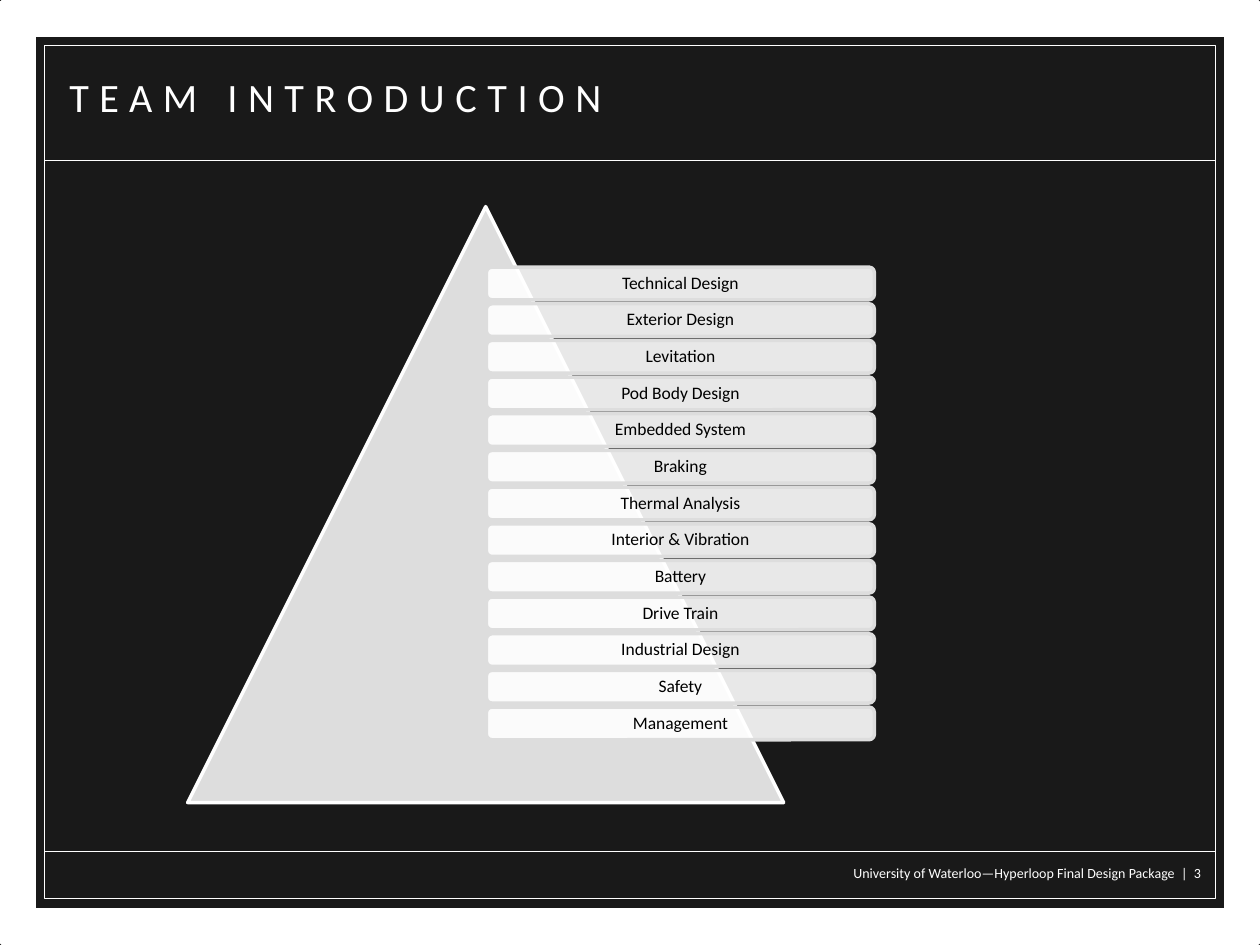
import dataclasses

import pptx
import pptx.dml.color
import pptx.enum.shapes
import pptx.enum.text
import pptx.oxml
import pptx.oxml.ns
import pptx.util
from lxml import etree

SHAPE = pptx.enum.shapes.MSO_SHAPE
ALIGN = pptx.enum.text.PP_ALIGN
ANCHOR = pptx.enum.text.MSO_ANCHOR
qn = pptx.oxml.ns.qn

COLUMNS, ROWS = 100, 75
TEAMS = [
    "Technical Design", "Exterior Design", "Levitation", "Pod Body Design",
    "Embedded System", "Braking", "Thermal Analysis", "Interior & Vibration",
    "Battery", "Drive Train", "Industrial Design", "Safety", "Management",
]


@dataclasses.dataclass(frozen=True)
class Theme:
    """Colours, font and type sizes of the deck."""
    back: str = "191919"
    white: str = "FFFFFF"
    grey: str = "DDDDDD"
    black: str = "000000"
    font: str = "Calibri"
    title: float = 23
    label: float = 10
    footer: float = 8


class Page:
    """Draws styled elements on one slide by grid columns and rows."""

    def __init__(self, deck, theme):
        """Add a title-only slide with a plain background."""
        self.theme = theme
        self.column = deck.slide_width / COLUMNS
        self.row = deck.slide_height / ROWS
        self.slide = deck.slides.add_slide(deck.slide_layouts[5])
        self.paint(self.slide.background.fill, theme.back)

    def place(self, left, top, width, height):
        """Turn grid lengths into slide lengths."""
        return (round(left * self.column), round(top * self.row),
                round(width * self.column), round(height * self.row))

    def paint(self, fill, color):
        """Fill with one solid colour."""
        fill.solid()
        fill.fore_color.rgb = pptx.dml.color.RGBColor.from_string(color)

    def stroke(self, line, color, width):
        """Set the colour and width of a line."""
        self.paint(line.fill, color)
        line.width = pptx.util.Pt(width)

    def letter(self, box, words, size, color, align, anchor, spacing=None):
        """Put one formatted paragraph into a box."""
        frame = box.text_frame
        sides = ("margin_left", "margin_top", "margin_right", "margin_bottom")
        formats = dict.fromkeys(sides, pptx.util.Inches(0.04))
        formats |= {"word_wrap": True, "vertical_anchor": anchor,
                    "auto_size": pptx.enum.text.MSO_AUTO_SIZE.NONE}
        for name, value in formats.items():
            setattr(frame, name, value)
        para = frame.paragraphs[0]
        for name, value in {"alignment": align, "line_spacing": spacing}.items():
            setattr(para, name, value)
        span = para.add_run()
        span.text = words
        for name, value in {"name": self.theme.font, "size": pptx.util.Pt(size)}.items():
            setattr(span.font, name, value)
        self.paint(span.font.fill, color)
        return span

    def title(self, words, *area):
        """Set the widely spaced, shadowed title."""
        box = self.slide.shapes.title
        for name, value in zip(("left", "top", "width", "height"), self.place(*area)):
            setattr(box, name, value)
        span = self.letter(box, words, self.theme.title, self.theme.white, ALIGN.LEFT, ANCHOR.TOP)
        properties = span.font._element
        properties.set("spc", "600")
        effects = pptx.oxml.parse_xml(
            f'<a:effectLst {pptx.oxml.ns.nsdecls("a")}>'
            '<a:outerShdw blurRad="38100" dist="38100" dir="2700000">'
            '<a:srgbClr val="000000"><a:alpha val="43000"/></a:srgbClr>'
            '</a:outerShdw></a:effectLst>')
        properties.find(qn("a:solidFill")).addnext(effects)

    def footer(self, words, *area):
        """Set the right-aligned footer."""
        box = self.slide.shapes.add_textbox(*self.place(*area))
        self.letter(box, words, self.theme.footer, self.theme.white, ALIGN.RIGHT, ANCHOR.TOP)

    def shape(self, holder, preset, area, fill, line, width):
        """Draw a preset shape, hollow when fill is None."""
        shape = holder.add_shape(preset, *self.place(*area))
        shape.shadow.inherit = False
        if fill:
            self.paint(shape.fill, fill)
        else:
            shape.fill.background()
        self.stroke(shape.line, line, width)
        return shape

    def frame(self, width, *area):
        """Draw a hollow white frame."""
        self.shape(self.slide.shapes, SHAPE.RECTANGLE, area, None, self.theme.white, width)

    def rule(self, left, right, top):
        """Draw a thin horizontal line."""
        start, level, end, _ = self.place(left, top, right, 0)
        rule = self.slide.shapes.add_connector(
            pptx.enum.shapes.MSO_CONNECTOR.STRAIGHT, start, level, end, level)
        self.stroke(rule.line, self.theme.white, 0.5)
        etree.SubElement(rule._element.spPr, qn("a:effectLst"))

    def card(self, holder, words, *area):
        """Draw a translucent rounded card with a centred label."""
        card = self.shape(holder, SHAPE.ROUNDED_RECTANGLE, area,
                          self.theme.white, self.theme.grey, 2)
        color = card._element.spPr.find(qn("a:solidFill"))[0]
        etree.SubElement(color, qn("a:alpha")).set("val", "90000")
        self.letter(card, words, self.theme.label, self.theme.black,
                    ALIGN.CENTER, ANCHOR.MIDDLE, 0.9)

    def pyramid(self, labels):
        """Draw a triangle with a column of evenly spaced cards."""
        group = self.slide.shapes.add_group_shape().shapes
        self.shape(group, SHAPE.ISOSCELES_TRIANGLE, (14.9, 16.4, 47.3, 47.3),
                   self.theme.grey, self.theme.white, 2)
        for index, words in enumerate(labels):
            self.card(group, words, 38.6, 21.2 + 2.91 * index, 30.8, 2.6)


def main():
    """Build and save the team slide."""
    deck = pptx.Presentation()
    deck.slide_width, deck.slide_height = pptx.util.Inches(10), pptx.util.Inches(7.5)
    page = Page(deck, Theme())
    page.footer("University of Waterloo—Hyperloop Final Design Package  |  3",
                29.5, 68.2, 66.3, 2.4)
    page.frame(24, 1.2, 1.3, 97.6, 72.4)
    page.frame(0.5, 3.5, 3.6, 93, 67.7)
    for top in (12.7, 67.6):
        page.rule(3.5, 96.5, top)
    page.title("TEAM INTRODUCTION", 5.1, 5.3, 89.8, 6.2)
    page.pyramid(TEAMS)
    deck.save("out.pptx")


if __name__ == "__main__":
    main()
